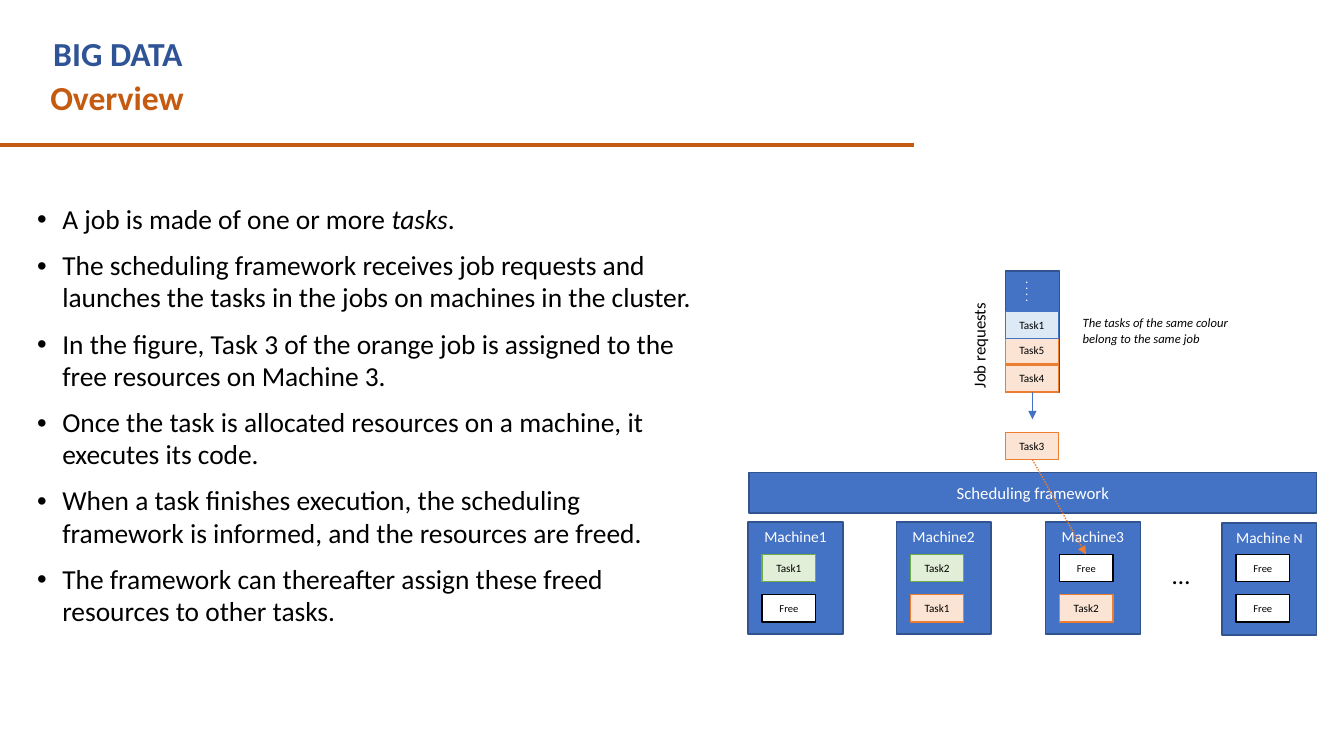
from lxml import etree
from pptx import Presentation
from pptx.dml.color import RGBColor
from pptx.enum.dml import MSO_LINE
from pptx.enum.shapes import MSO_CONNECTOR, MSO_SHAPE
from pptx.enum.text import MSO_ANCHOR, PP_ALIGN
from pptx.oxml.ns import qn
from pptx.util import Emu, Pt

PX = 9144  # 100 px to the inch
RECT, STRAIGHT = MSO_SHAPE.RECTANGLE, MSO_CONNECTOR.STRAIGHT
LEFT, CENTER = PP_ALIGN.LEFT, PP_ALIGN.CENTER
TOP, MIDDLE = MSO_ANCHOR.TOP, MSO_ANCHOR.MIDDLE
DOT = MSO_LINE.ROUND_DOT

FONT = "Calibri"
COLORS = {
    "black": "000000", "white": "FFFFFF", "title": "2F5496", "accent": "C55A11",
    "blue": "4472C4", "navy": "31538F", "orange": "ED7D31",
}
# Fill and outline of each kind of task slot
JOBS = {
    "green": ("E1EFD8", "70AD47"), "orange": ("FBE4D4", "ED7D31"),
    "blue": ("DDEAF6", "4472C4"), "free": ("FFFFFF", "000000"),
}

# A paragraph is a list of runs: (text, format overrides)
BULLETS = [
    [("A job is made of one or more ", {}), ("tasks", {"italic": True}), (".", {})],
    "The scheduling framework receives job requests and launches the tasks "
    "in the jobs on machines in the cluster.",
    "In the figure, Task 3 of the orange job is assigned to the free resources on Machine 3.",
    "Once the task is allocated resources on a machine, it executes its code.",
    "When a task finishes execution, the scheduling framework is informed, "
    "and the resources are freed.",
    "The framework can thereafter assign these freed resources to other tasks.",
]
MACHINE_N = [("Machin", {}), ("e ", {"size": 10.5}), ("N", {"size": 10})]
# left, top, name, slots from top to bottom
MACHINES = [
    (742, 518, "Machine1", [("Task1", "green"), ("Free", "free")]),
    (889, 518, "Machine2", [("Task2", "green"), ("Task1", "orange")]),
    (1037, 518, "Machine3", [("Free", "free"), ("Task2", "orange")]),
    (1212, 519, MACHINE_N, [("Free", "free"), ("Free", "free")]),
]
QUEUE = [(362, "Task4", "orange"), (334, "Task5", "orange"), (309, "Task1", "blue")]
QUEUE_X = 997
MACHINE_W, MACHINE_H = 94, 111
SLOT_W, SLOT_H = 53, 27
SLOT_INSET, SLOT_TOP, SLOT_PITCH = 14, 550, 40

prs = Presentation()
prs.slide_width, prs.slide_height = Emu(1333 * PX), Emu(750 * PX)
slide = prs.slides.add_slide(prs.slide_layouts[6])


def rgb(name):
    return RGBColor.from_string(COLORS.get(name, name))


def add_bullet(p):
    pPr = p._p.get_or_add_pPr()
    pPr.set("marL", str(25 * PX))
    pPr.set("indent", str(-25 * PX))
    color = etree.SubElement(pPr, qn("a:buClr"))
    etree.SubElement(color, qn("a:srgbClr"), val=COLORS["black"])
    etree.SubElement(pPr, qn("a:buFont"), typeface="Arial")
    etree.SubElement(pPr, qn("a:buChar"), char="•")


def write(sp, paragraphs, size=12, color="black", bold=False, italic=False,
          align=LEFT, anchor=TOP, bullet=False, gap=0, spacing=None):
    tf = sp.text_frame
    tf.word_wrap = True
    tf.vertical_anchor = anchor
    for i, runs in enumerate(paragraphs):
        p = tf.add_paragraph() if i else tf.paragraphs[0]
        if bullet:
            add_bullet(p)
        p.alignment = align
        if spacing:
            p.line_spacing = spacing
        if i and gap:
            p.space_before = Pt(gap)
        for text, changes in [(runs, {})] if isinstance(runs, str) else runs:
            r = p.add_run()
            r.text = text
            r.font.name = FONT
            r.font.size = Pt(changes.get("size", size))
            r.font.bold = bold
            r.font.italic = changes.get("italic", italic)
            r.font.color.rgb = rgb(color)


def add_text(box, *paragraphs, rotation=0, **fmt):
    sp = slide.shapes.add_textbox(*(Emu(v * PX) for v in box))
    sp.rotation = rotation
    write(sp, paragraphs, **fmt)


def add_box(box, runs=None, fill="blue", line="navy", **fmt):
    sp = slide.shapes.add_shape(RECT, *(Emu(v * PX) for v in box))
    sp.shadow.inherit = False
    sp.fill.solid()
    sp.fill.fore_color.rgb = rgb(fill)
    sp.line.color.rgb = rgb(line)
    sp.line.width = Pt(1)
    if runs:
        write(sp, [runs], align=CENTER, **fmt)


def add_slot(x, y, label, job):
    fill, line = JOBS[job]
    add_box((x, y, SLOT_W, SLOT_H), label, fill, line,
            size=7.5 if job == "free" else 8, anchor=MIDDLE)


def add_line(ends, color, width, arrow=False, dash=None):
    c = slide.shapes.add_connector(STRAIGHT, *(Emu(v * PX) for v in ends))
    c.line.color.rgb = rgb(color)
    c.line.width = Pt(width)
    if dash:
        c.line.dash_style = dash
    if arrow:
        etree.SubElement(c.line._get_or_add_ln(), qn("a:tailEnd"), type="triangle")
    etree.SubElement(c._element.spPr, qn("a:effectLst"))


# Heading and body
add_text((40, 71, 875, 50), "Overview", size=24, color="accent", bold=True)
add_text((43, 28, 820, 50), "BIG DATA", size=24, color="title", bold=True)
add_line((-1, 144, 907, 144), "accent", 3)
add_text((27, 197, 673, 519), *BULLETS, size=19.6, bullet=True, gap=10, spacing=0.98)

# Scheduler and machines
add_box((743, 469, 563, 40), "Scheduling framework", color="white", anchor=MIDDLE)
for x, y, name, slots in MACHINES:
    add_box((x, y, MACHINE_W, MACHINE_H), name, size=11, color="white")
    for row, (label, job) in enumerate(slots):
        add_slot(x + SLOT_INSET, SLOT_TOP + row * SLOT_PITCH, label, job)
add_text((1153, 550, 40, 43), "…", size=18)

# Job queue
add_box((QUEUE_X, 269, 54, 120))
for y, label, job in QUEUE:
    add_slot(QUEUE_X, y, label, job)
add_text((985, 266, 47, 53), ". . . .", rotation=90, size=9, color="white", italic=True)
add_text((920, 318, 113, 41), "Job requests", rotation=270)
add_text((1064, 308, 179, 53), "The tasks of the same colour", "belong to the same job",
         size=9, italic=True)
add_slot(QUEUE_X, 429, "Task3", "orange")
add_line((1024, 389, 1024, 416), "blue", 0.75, arrow=True)
add_line((1024, 456, 1077, 550), "orange", 1, arrow=True, dash=DOT)

prs.save("out.pptx")
